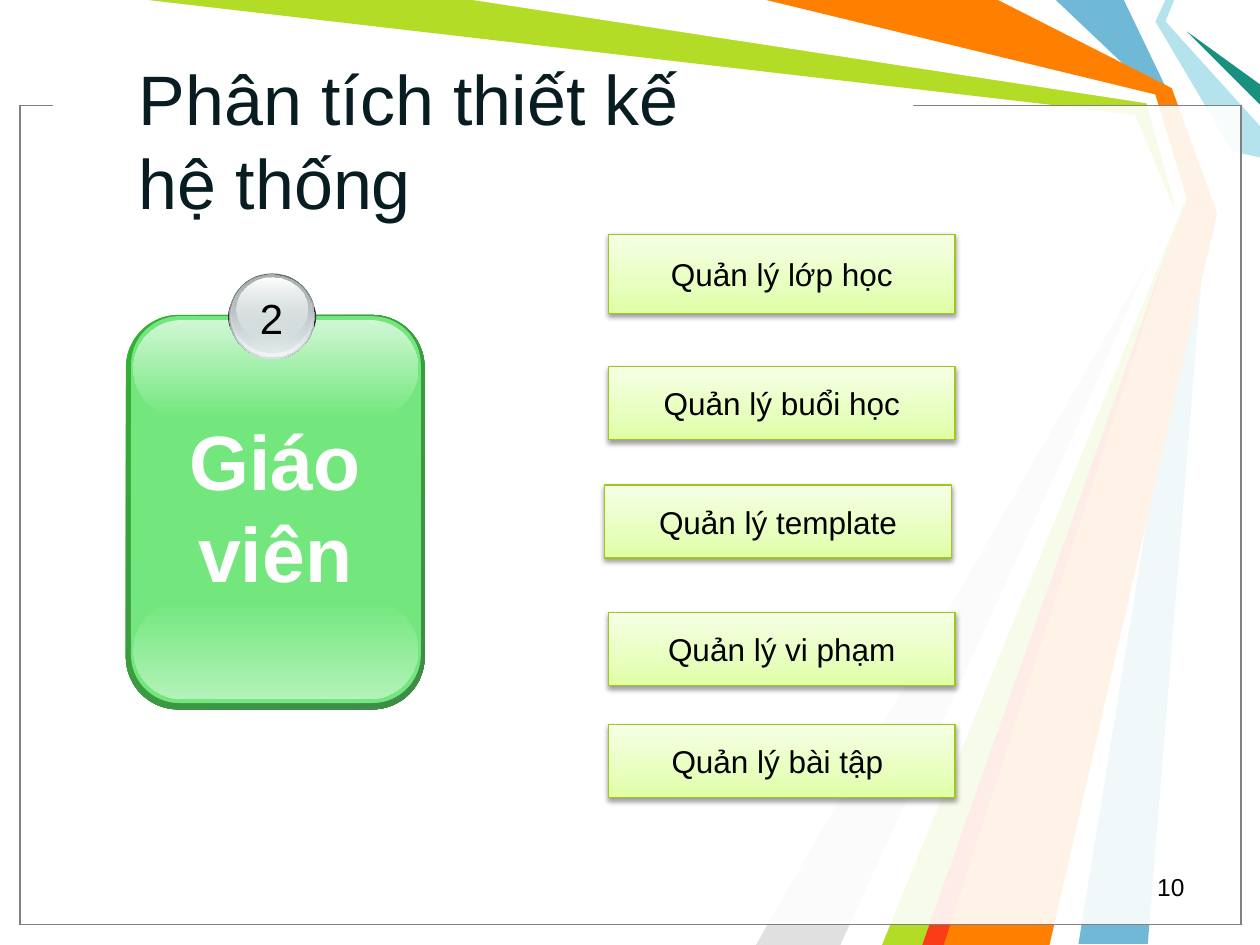
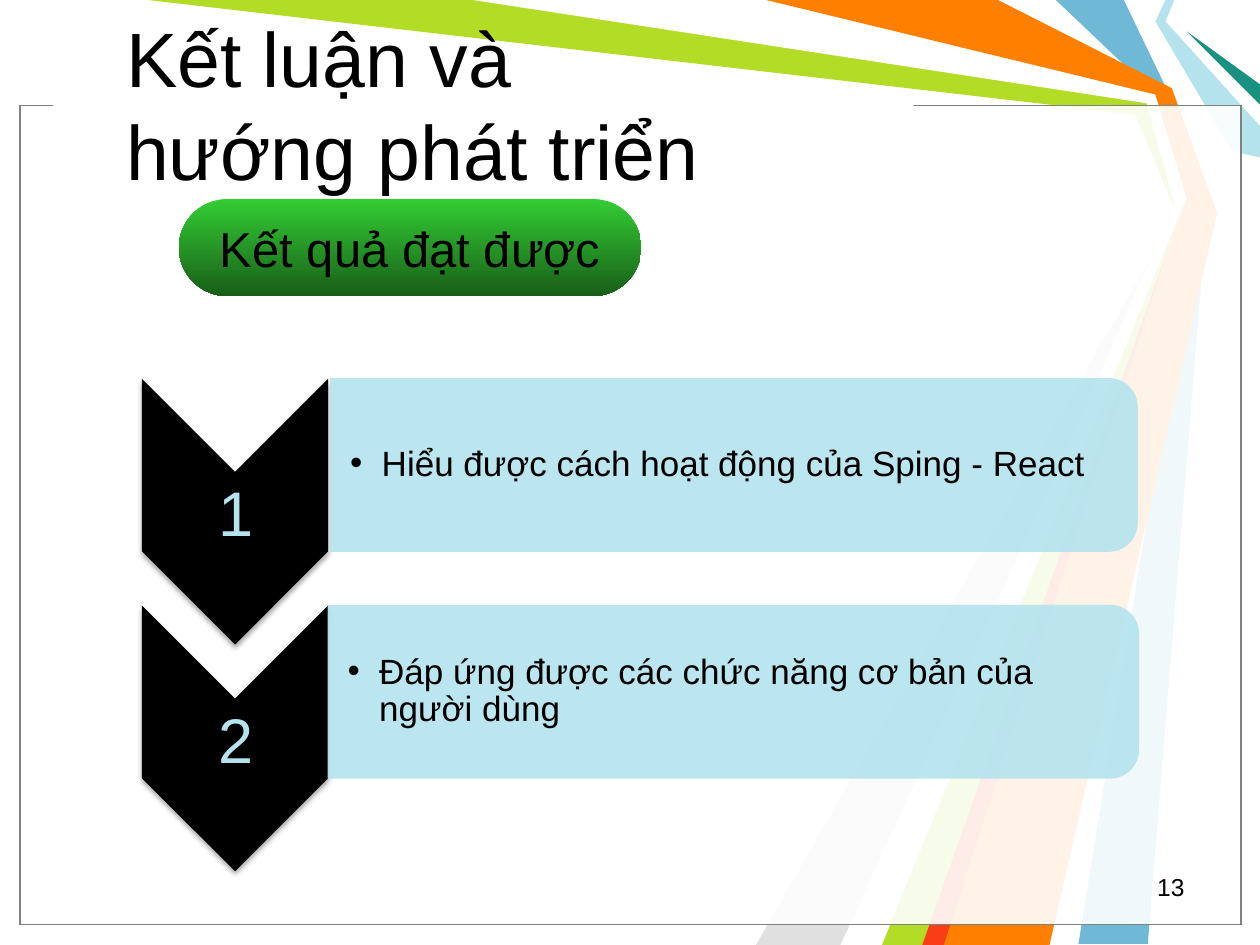
from pptx import Presentation
from pptx.dml.color import RGBColor
from pptx.enum.shapes import MSO_SHAPE as Kind
from pptx.enum.text import MSO_ANCHOR as Anchor, MSO_AUTO_SIZE as Fit, PP_ALIGN as Align
from pptx.oxml.ns import qn
from pptx.util import Inches, Pt
from lxml.etree import SubElement as Sub

FONT = "Arial"
BLACK = RGBColor(0, 0, 0)
WHITE = RGBColor(255, 255, 255)
GREY = RGBColor(0x80, 0x80, 0x80)
SILVER = RGBColor(0xE0, 0xE0, 0xE0)
COAL = RGBColor(0x33, 0x33, 0x33)
INK = RGBColor(0x08, 0x1D, 0x22)
BLUE = RGBColor(0x6F, 0xB9, 0xD7)
LIME = RGBColor(0xB3, 0xDC, 0x27)
PALE = RGBColor(0xB4, 0xE3, 0xEE)
TEAL = RGBColor(0x18, 0x91, 0x80)
ORANGE = RGBColor(0xFF, 0x7F, 0x00)
RED = RGBColor(0xF9, 0x3D, 0x17)
MOSS = RGBColor(0xA1, 0xC7, 0x1D)
GREEN = RGBColor(0x73, 0xE7, 0x7E)
STEEL = RGBColor(0xD6, 0xE1, 0xE2)
LEAF = [(0, RGBColor(0xDF, 0xFF, 0xA4)), (35, RGBColor(0xE7, 0xFF, 0xBE)),
        (100, RGBColor(0xF6, 0xFF, 0xE6))]
EDGE = [(0, RGBColor(0x34, 0xB0, 0x34)), (100, RGBColor(0x3F, 0x8B, 0x4A))]
PILL = [(0, RGBColor(0x33, 0xCC, 0x33)), (100, RGBColor(0x18, 0x5E, 0x18))]
FOOT = [(0, GREEN), (100, RGBColor(0xB3, 0xF2, 0xB9))]
GLOSS = [(0, RGBColor(0xD0, 0xF7, 0xD4)), (100, GREEN)]

RAYS = [
    (BLUE, [(8.92, 0), (9.29, 0.77), (9.58, 1.67), (9.11, 7.49), (8.56, 7.49),
            (9.5, 1.67), (9.17, 0.75), (8.38, 0)]),
    (LIME, [(1.17, 0), (3.83, 0), (9.14, 0.78), (9.42, 1.69), (7.42, 7.5),
            (6.92, 7.5), (9.35, 1.73), (9.01, 0.91)]),
    (SILVER, [(6.67, 7.5), (9.27, 1.81), (6, 7.5)]),
    (WHITE, [(3.75, 0), (9.1, 0.82), (9.32, 1.62), (6.75, 7.5), (7, 7.5),
             (9.41, 1.58), (9.17, 0.75), (6, 0)]),
    (PALE, [(9.25, 0), (9.17, 0.17), (9.78, 1.2), (10, 1.25), (10, 1),
            (9.25, 0.17), (9.32, 0)]),
    (TEAL, [(10, 0.83), (9.42, 0.25), (10, 0.67)]),
    (ORANGE, [(6.08, 0), (7.92, 0), (9.3, 0.7), (9.66, 1.69), (8.33, 7.5),
              (7.33, 7.5), (9.42, 1.58), (9.17, 0.75)]),
    (RED, [(7.32, 7.5), (9.32, 1.83), (7.49, 7.5)]),
]
TASKS = [
    ("Quản lý lớp học", 4.83, 1.86, 0.63),
    ("Quản lý buổi học", 4.83, 2.91, 0.58),
    ("Quản lý template", 4.8, 3.85, 0.58),
    ("Quản lý vi phạm", 4.83, 4.86, 0.58),
    ("Quản lý bài tập ", 4.83, 5.75, 0.58),
]
CARD = [
    ((1, 2.5, 2.37, 3.13), 0.175, EDGE, 45),
    ((1.04, 2.51, 2.3, 3.07), 0.167, GREEN, 0),
    ((1.06, 4.77, 2.26, 0.78), 0.5, FOOT, 90),
    ((1.06, 2.54, 2.26, 0.77), 0.5, GLOSS, 90),
]
BADGE = [
    ((1.81, 2.23, 0.7, 0.57), COAL),
    ((1.82, 2.17, 0.68, 0.68), [(0, RGBColor(0x63, 0x68, 0x69)), (100, STEEL)]),
    ((1.83, 2.17, 0.66, 0.66), [(0, STEEL, 0), (100, RGBColor(0xF1, 0xF5, 0xF5))]),
    ((1.84, 2.18, 0.63, 0.62), [(0, RGBColor(0xAA, 0xB2, 0xB3)), (100, STEEL, 48)]),
    ((1.88, 2.2, 0.56, 0.5), [(0, WHITE), (100, STEEL, 38)]),
]
STEPS = [
    ("Hiểu được cách hoạt động của Sping - React", 2.62, 6.41),
    ("Đáp ứng được các chức năng cơ bản của người dùng", 2.6, 6.44),
]


def fade(node, alpha):
    Sub(node, qn("a:alpha"), val=str(alpha * 1000))


def blend(shape, stops, angle):
    shape.fill.gradient()
    shape.fill.gradient_angle = (360 - angle) % 360
    ramp = shape.element.spPr.find(qn("a:gradFill")).find(qn("a:gsLst"))
    for old in list(ramp):
        ramp.remove(old)
    for place, color, *alpha in stops:
        stop = Sub(ramp, qn("a:gs"), pos=str(place * 1000))
        node = Sub(stop, qn("a:srgbClr"), val=str(color))
        if alpha:
            fade(node, alpha[0])


def paint(shape, fill, angle=90, alpha=None, line=None):
    shape.shadow.inherit = False
    if isinstance(fill, list):
        blend(shape, fill, angle)
    else:
        shape.fill.solid()
        shape.fill.fore_color.rgb = fill
        if alpha is not None:
            fade(shape.element.spPr.find(qn("a:solidFill"))[0], alpha)
    if line is None:
        shape.line.fill.background()
    else:
        shape.line.color.rgb = line
        shape.line.width = Pt(0.75)


def cast(shape, alpha, dist):
    effects = shape.element.spPr.find(qn("a:effectLst"))
    drop = Sub(effects, qn("a:outerShdw"), blurRad=str(Pt(3.1)),
               dist=str(Pt(dist)), dir="5400000", rotWithShape="0")
    fade(Sub(drop, qn("a:srgbClr"), val=str(BLACK)), alpha)


def form(slide, kind, box, fill, adj=None, turn=0, **look):
    shape = slide.shapes.add_shape(kind, *map(Inches, box))
    if adj is not None:
        shape.adjustments[0] = adj
    shape.rotation = turn
    paint(shape, fill, **look)
    return shape


def write(shape, lines, size, color=BLACK, align=Align.CENTER, anchor=Anchor.MIDDLE,
          wrap=True, bold=False, inset=None, space=None):
    frame = shape.text_frame
    frame.auto_size = Fit.NONE
    frame.word_wrap = wrap
    frame.vertical_anchor = anchor
    if inset:
        (frame.margin_left, frame.margin_top,
         frame.margin_right, frame.margin_bottom) = map(Inches, inset)
    for i, line in enumerate(lines):
        para = frame.add_paragraph() if i else frame.paragraphs[0]
        para.alignment = align
        if space:
            para.line_spacing = space
        run = para.add_run()
        run.text = line
        font = run.font
        font.name, font.size, font.bold = FONT, Pt(size), bold
        font.color.rgb = color
    return frame


def label(slide, box, text, size, **look):
    shape = slide.shapes.add_textbox(*map(Inches, box))
    return write(shape, [text], size, **look)


def bullet(para):
    props = para._p.get_or_add_pPr()
    props.set("marL", str(Inches(0.25)))
    props.set("indent", str(-Inches(0.25)))
    Sub(props, qn("a:buFont"), typeface=FONT)
    Sub(props, qn("a:buChar"), char="•")


def backdrop(slide, layout):
    parts = []
    for color, points in RAYS:
        spots = [(Inches(x), Inches(y)) for x, y in points]
        pen = slide.shapes.build_freeform(*spots[0])
        pen.add_line_segments(spots[1:], close=True)
        ray = pen.convert_to_shape()
        paint(ray, color)
        parts.append(ray)
    for line in (BLACK, GREY):
        parts.append(form(slide, Kind.RECTANGLE, (0.16, 0.84, 9.69, 6.5), WHITE,
                          alpha=69, line=line))
    parts.append(form(slide, Kind.RECTANGLE, (0.42, 0.74, 6.83, 0.17), WHITE))
    for i, part in enumerate(parts):
        part.element.xpath(".//p:cNvPr")[0].set("id", str(100 + i))
        layout.shapes.element.append(part.element)


def start(deck, layout, box, lines, size, color, page):
    slide = deck.slides.add_slide(layout)
    title = slide.shapes.title
    title.left, title.top, title.width, title.height = map(Inches, box)
    write(title, lines, size, color, Align.LEFT)
    label(slide, (7.17, 6.87, 2.33, 0.33), page, 14, align=Align.RIGHT,
          anchor=Anchor.TOP)
    return slide


def tasks(slide):
    for text, left, top, high in TASKS:
        box = form(slide, Kind.RECTANGLE, (left, top, 2.75, high), LEAF,
                   angle=270, line=MOSS)
        cast(box, 38, 1.6)
        write(box, [text], 18)


def card(slide):
    for box, adj, fill, angle in CARD:
        form(slide, Kind.ROUNDED_RECTANGLE, box, fill, adj, angle=angle)
    for box, fill in BADGE:
        form(slide, Kind.OVAL, box, fill)
    label(slide, (1.96, 2.27, 0.39, 0.51), "2", 24, anchor=Anchor.TOP, wrap=False)
    label(slide, (1.06, 3.23, 2.25, 1.58), "Giáo viên", 44, color=WHITE,
          anchor=Anchor.TOP, bold=True)


def steps(slide):
    for i, (text, left, long) in enumerate(STEPS):
        drop = 1.8 * i
        arrow = form(slide, Kind.CHEVRON, (0.81, 3.32 + drop, 2.11, 1.48), BLACK,
                     turn=90)
        cast(arrow, 35, 1.8)
        label(slide, (1.13, 3.74 + drop, 1.48, 0.63), str(i + 1), 36, color=PALE,
              anchor=Anchor.BOTTOM, inset=(0, 0.6, 0, 0), space=0.9)
        form(slide, Kind.ROUND_2_SAME_RECTANGLE,
             (left + long / 2 - 0.69, 3.69 + drop - long / 2, 1.38, long),
             PALE, turn=90, alpha=90)
        frame = label(slide, (left, 3.07 + drop, 6.36, 1.24), text, 20,
                      align=Align.LEFT, inset=(0.16, 0.01, 0.01, 0.01), space=0.9)
        bullet(frame.paragraphs[0])


def main():
    deck = Presentation()
    deck.slide_width, deck.slide_height = Inches(10), Inches(7.5)
    layout = deck.slide_layouts[5]

    design = start(deck, layout, (1, 0.75, 6.58, 0.72),
                   ["Phân tích thiết kế", "hệ thống"], 40, INK, "10")
    backdrop(design, layout)
    tasks(design)
    card(design)

    close = start(deck, layout, (0.9, 0.42, 6.25, 0.8),
                  ["Kết luận và ", "hướng phát triển"], 44, BLACK, "13")
    steps(close)
    pill = form(close, Kind.ROUNDED_RECTANGLE, (1.42, 1.58, 3.67, 0.77), PILL, 0.5)
    write(pill, ["Kết quả đạt được"], 28, wrap=False)

    deck.save("out.pptx")


main()
